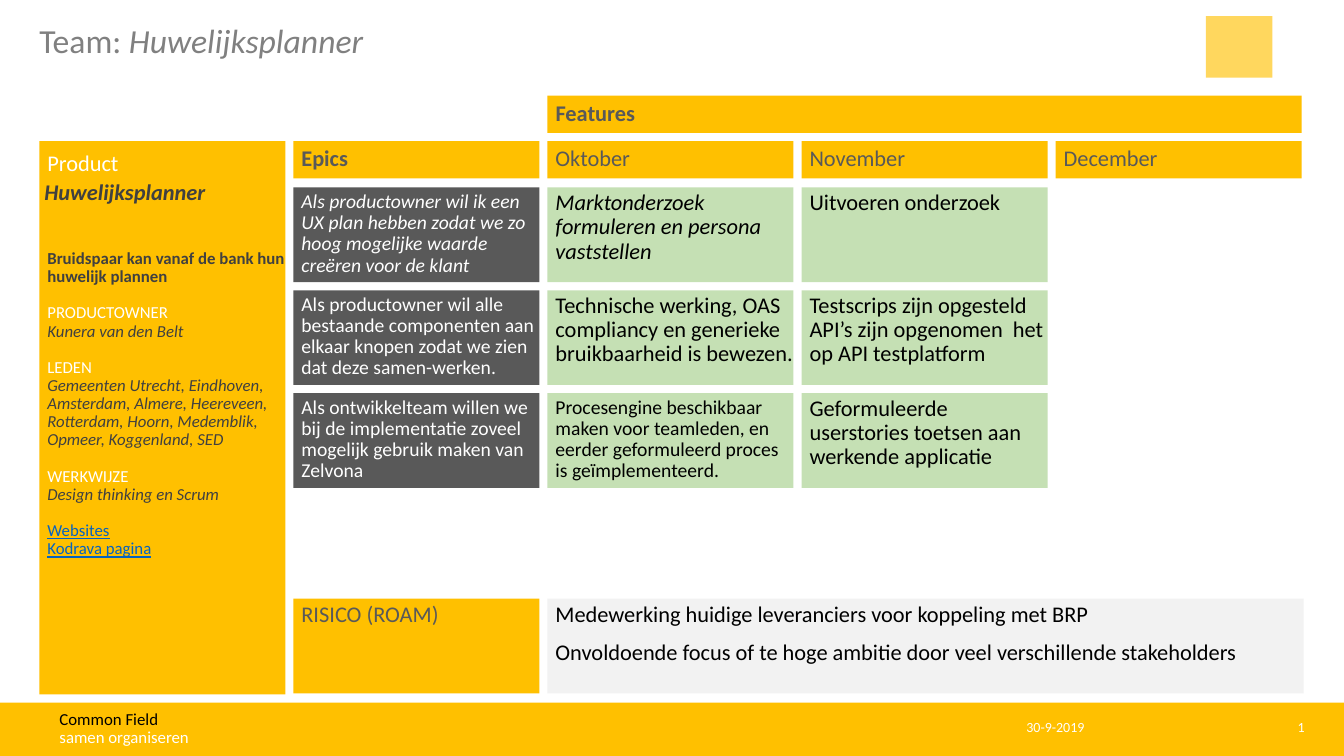
from lxml.etree import SubElement
from pptx import Presentation
from pptx.dml.color import RGBColor
from pptx.enum.shapes import MSO_SHAPE as Shape
from pptx.enum.text import MSO_ANCHOR as Anchor, PP_ALIGN as Align
from pptx.oxml.ns import qn
from pptx.util import Inches, Pt

WIDTH, HEIGHT = 13.33, 7.5
YELLOW, GREEN, DARK, PALE = "FFC000", "C5E0B4", "595959", "F2F2F2"
BLACK, WHITE, CHARCOAL, GREY, LINK = "000000", "FFFFFF", "404040", "808080", "0563C1"

LEFT, COLUMN, GAP = 0.39, 2.44, 0.08
ROW_TOP, ROW, BAR = 1.86, 0.94, 0.37
FOOTER_TOP = 6.97

MONTHS = ["Oktober", "November", "December"]
# Each epic: text, then its features; every text has a size and an italic flag.
EPICS = [
    [("Als productowner wil ik een UX plan hebben zodat we zo hoog mogelijke waarde "
      "creëren voor de klant", 14, True),
     ("Marktonderzoek formuleren en persona vaststellen", 16, True),
     ("Uitvoeren onderzoek", 16, False)],
    [("Als productowner wil alle bestaande componenten aan elkaar knopen zodat we zien "
      "dat deze samen-werken.", 14, False),
     ("Technische werking, OAS compliancy en generieke bruikbaarheid is bewezen.", 16, False),
     ("Testscrips zijn opgesteld  API’s zijn opgenomen  het op API testplatform", 16, False)],
    [("Als ontwikkelteam willen we bij de implementatie zoveel mogelijk gebruik maken van "
      "Zelvona", 14, False),
     ("Procesengine beschikbaar maken voor teamleden, en eerder geformuleerd proces is "
      "geïmplementeerd.", 14, False),
     ("Geformuleerde userstories toetsen aan werkende applicatie", 16, False)],
]
RISKS = [
    "Medewerking huidige leveranciers voor koppeling met BRP",
    "Onvoldoende focus of te hoge ambitie door veel verschillende stakeholders",
]
TEAM = [
    ("PRODUCTOWNER", "Kunera van den Belt"),
    ("LEDEN", "Gemeenten Utrecht, Eindhoven, Amsterdam, Almere, Heereveen, Rotterdam, "
              "Hoorn, Medemblik, Opmeer, Koggenland, SED"),
    ("WERKWIJZE", "Design thinking en Scrum"),
]


def color(code):
    return RGBColor.from_string(code)


def column_left(index):
    return LEFT + index * (COLUMN + GAP)


def row_top(index):
    return ROW_TOP + index * (ROW + GAP)


def span(count):
    """Width of adjoining columns with the gaps between them."""
    return count * COLUMN + (count - 1) * GAP


def add_block(slide, box, fill):
    block = slide.shapes.add_shape(Shape.RECTANGLE, *map(Inches, box))
    block.shadow.inherit = False
    block.fill.solid()
    block.fill.fore_color.rgb = color(fill)
    block.line.fill.background()
    return block


def add_text(slide, box):
    return slide.shapes.add_textbox(*map(Inches, box))


def prepare(shape, left=0.0, top=0.0, anchor=Anchor.TOP, wrap=True):
    frame = shape.text_frame
    frame.word_wrap = wrap
    frame.vertical_anchor = anchor
    frame.margin_left, frame.margin_top = Inches(left), Inches(top)
    frame.margin_right = frame.margin_bottom = 0
    return frame


def write(frame, text, size, ink, spacing=0.9, before=0, align=Align.LEFT, **style):
    """Fill the first empty paragraph, or append a new one."""
    first = frame.paragraphs[0]
    paragraph = frame.add_paragraph() if first.runs else first
    paragraph.alignment = align
    paragraph.line_spacing = spacing
    paragraph.space_before = Pt(before)
    add_run(paragraph, text, size, ink, **style)
    return paragraph


def add_run(paragraph, text, size, ink, bold=False, italic=False, underline=False):
    run = paragraph.add_run()
    run.text = text
    font = run.font
    font.name, font.size, font.color.rgb = "Calibri", Pt(size), color(ink)
    font.bold, font.italic, font.underline = bold, italic, underline


def add_title(slide, box):
    title = slide.shapes.title
    title.left, title.top, title.width, title.height = map(Inches, box)
    heading = write(prepare(title), "Team: ", 24, GREY)
    add_run(heading, "Huwelijksplanner", 24, GREY, italic=True)


def add_emblem(slide, box):
    emblem = add_block(slide, box, YELLOW)
    tint = emblem.element.spPr.find(qn("a:solidFill"))[0]
    SubElement(tint, qn("a:alpha"), val="63000")


def add_sidebar(slide, box):
    left, top, width, height = box
    add_block(slide, box, YELLOW)
    label = add_text(slide, (left, top, width, 0.45))
    write(prepare(label, 0.08, 0.08), "Product", 16, WHITE, 1.0)
    product = add_text(slide, (left + 0.05, top + 0.37, 2.27, 0.27))
    write(prepare(product), "Huwelijksplanner", 16, CHARCOAL, 1.0, bold=True, italic=True)

    details = prepare(add_text(slide, (left, top + 1, width, 3)), 0.08, 0.08)
    write(details, "Bruidspaar kan vanaf de bank hun huwelijk plannen", 12, CHARCOAL, bold=True)
    for heading, content in TEAM:
        write(details, heading, 12, WHITE, before=13)
        write(details, content, 12, CHARCOAL, italic=True)
    write(details, "Websites", 12, LINK, before=13, underline=True)
    write(details, "Kodrava pagina", 12, LINK, underline=True)


def add_bar(slide, box, text, bold=False):
    bar = add_block(slide, box, YELLOW)
    write(prepare(bar, 0.08, anchor=Anchor.MIDDLE), text, 16, DARK, bold=bold)


def add_card(slide, box, fill, ink, texts, size=16, italic=False):
    frame = prepare(add_block(slide, box, fill), 0.08, 0.04)
    for index, text in enumerate(texts):
        write(frame, text, size, ink, before=10 if index else 0, italic=italic)


def add_board(slide, top):
    """Header bars, then a row of cards for each epic."""
    add_bar(slide, (column_left(2), top, span(3), BAR), "Features", bold=True)
    months_top = top + BAR + GAP
    add_bar(slide, (column_left(1), months_top, COLUMN, BAR), "Epics", bold=True)
    for index, month in enumerate(MONTHS, 2):
        add_bar(slide, (column_left(index), months_top, COLUMN, BAR), month)
    for row, cards in enumerate(EPICS):
        for column, (text, size, italic) in enumerate(cards, 1):
            fill, ink = (DARK, WHITE) if column == 1 else (GREEN, BLACK)
            box = (column_left(column), row_top(row), COLUMN, ROW)
            add_card(slide, box, fill, ink, [text], size, italic)


def add_risks(slide, top):
    add_card(slide, (column_left(1), top, COLUMN, ROW), YELLOW, DARK, ["RISICO (ROAM)"])
    add_card(slide, (column_left(2), top, span(3) + 0.02, ROW), PALE, BLACK, RISKS)


def add_footer(slide, box):
    left, top, width, height = box
    add_block(slide, box, YELLOW)
    motto = prepare(add_text(slide, (left + 0.59, top + 0.08, 1.3, 0.36)), wrap=False)
    write(motto, "Common Field", 12, BLACK, Pt(13))
    write(motto, "samen organiseren", 12, WHITE, Pt(13))
    date = add_text(slide, (left + 10.18, top + 0.16, 1.97, 0.2))
    write(prepare(date), "30-9-2019", 10, WHITE, 1.0)
    number = add_text(slide, (left + 12.15, top + 0.16, 0.79, 0.2))
    write(prepare(number), "1", 10, WHITE, 1.0, align=Align.RIGHT)


def main():
    deck = Presentation()
    deck.slide_width, deck.slide_height = Inches(WIDTH), Inches(HEIGHT)
    slide = deck.slides.add_slide(deck.slide_layouts[5])
    add_footer(slide, (0, FOOTER_TOP, WIDTH, HEIGHT - FOOTER_TOP))
    add_emblem(slide, (11.96, 0.16, 0.66, 0.61))
    add_title(slide, (LEFT, 0.24, 8.66, 0.47))
    add_sidebar(slide, (LEFT, 1.4, COLUMN, 5.49))
    add_board(slide, 0.95)
    add_risks(slide, row_top(4))
    deck.save("out.pptx")


if __name__ == "__main__":
    main()
